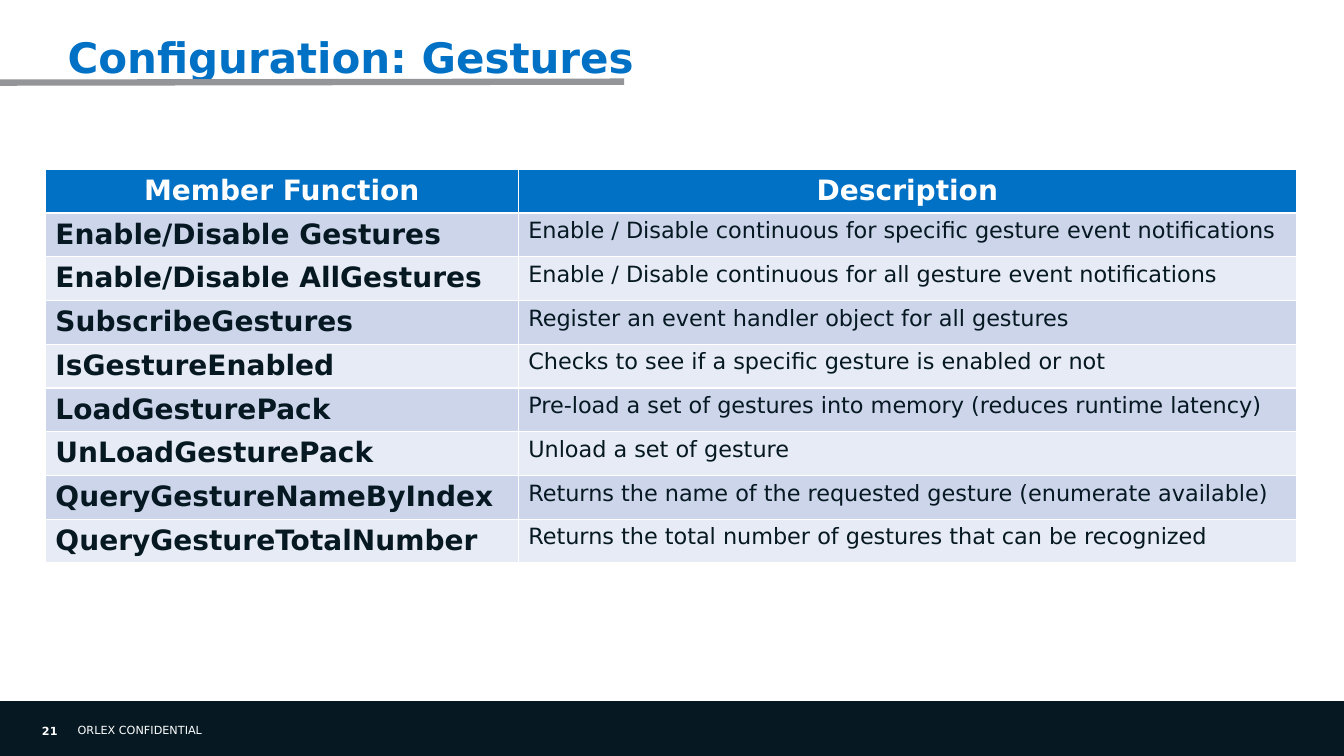
from pptx import Presentation
from pptx.dml.color import RGBColor
from pptx.enum.shapes import MSO_CONNECTOR, MSO_SHAPE
from pptx.enum.text import MSO_ANCHOR, MSO_AUTO_SIZE, PP_ALIGN
from pptx.oxml.ns import qn
from pptx.util import Pt
from lxml.etree import SubElement

FONT = "DejaVu Sans"
COLORS = {
    "blue": "0071C5",
    "navy": "061922",
    "white": "FFFFFF",
    "gray": "939598",
    "band_dark": "CCD5EA",
    "band_light": "E7EBF5",
}
HEADER = ("Member Function", "Description")
FUNCTIONS = [
    ("Enable/Disable Gestures", "Enable / Disable continuous for specific gesture event notifications"),
    ("Enable/Disable AllGestures", "Enable / Disable continuous for all gesture event notifications"),
    ("SubscribeGestures", "Register an event handler object for all gestures"),
    ("IsGestureEnabled", "Checks to see if a specific gesture is enabled or not"),
    ("LoadGesturePack", "Pre-load a set of gestures into memory (reduces runtime latency)"),
    ("UnLoadGesturePack", "Unload a set of gesture"),
    ("QueryGestureNameByIndex", "Returns the name of the requested gesture (enumerate available)"),
    ("QueryGestureTotalNumber", "Returns the total number of gestures that can be recognized"),
]


def px(n):
    return n * 9144


def rgb(name):
    return RGBColor.from_string(COLORS[name])


def paint(fill, color):
    fill.solid()
    fill.fore_color.rgb = rgb(color)


def write(tf, text, size, color, bold=False, align=PP_ALIGN.LEFT):
    p = tf.paragraphs[0]
    p.alignment = align
    r = p.add_run()
    r.text = text
    for key, value in {"name": FONT, "size": Pt(size), "bold": bold}.items():
        setattr(r.font, key, value)
    r.font.color.rgb = rgb(color)
    return p


def set_frame(tf, **values):
    for key, value in values.items():
        setattr(tf, key, value)


def no_margins():
    return {f"margin_{side}": 0 for side in ("left", "top", "right", "bottom")}


def add_title(s, text, box):
    sp = s.shapes.title
    sp.left, sp.top, sp.width, sp.height = map(px, box)
    set_frame(sp.text_frame, word_wrap=True, auto_size=MSO_AUTO_SIZE.NONE,
              vertical_anchor=MSO_ANCHOR.TOP, **no_margins())
    p = write(sp.text_frame, text, 30, "blue", True)
    p.line_spacing = Pt(26)


def add_bar(s, box, color):
    sp = s.shapes.add_shape(MSO_SHAPE.RECTANGLE, *map(px, box))
    sp.shadow.inherit = False
    paint(sp.fill, color)
    sp.line.color.rgb = rgb(color)
    sp.line.width = Pt(0.25)


def add_label(s, text, box, bold=False, align=PP_ALIGN.LEFT, **frame):
    tf = s.shapes.add_textbox(*map(px, box)).text_frame
    set_frame(tf, word_wrap=True, **frame)
    write(tf, text, 8, "white", bold, align)


def add_rule(s, ends, color, width):
    line = s.shapes.add_connector(MSO_CONNECTOR.STRAIGHT, *map(px, ends))
    line.line.color.rgb = rgb(color)
    line.line.width = Pt(width)
    SubElement(line._element.spPr, qn("a:effectLst"))


def add_function_table(s, left, top, widths, row_height):
    rows = [HEADER, *FUNCTIONS]
    frame = s.shapes.add_table(len(rows), len(widths), px(left), px(top),
                               px(sum(widths)), px(row_height * len(rows)))
    table = frame.table
    for column, width in zip(table.columns, widths):
        column.width = px(width)
    for i, row in enumerate(rows):
        for j, text in enumerate(row):
            cell = table.cell(i, j)
            if i == 0:
                paint(cell.fill, "blue")
                write(cell.text_frame, text, 20, "white", True, PP_ALIGN.CENTER)
            else:
                paint(cell.fill, "band_dark" if i % 2 else "band_light")
                write(cell.text_frame, text, 16 if j else 20, "navy", j == 0)


def main():
    prs = Presentation()
    prs.slide_width, prs.slide_height = px(1333), px(750)
    s = prs.slides.add_slide(prs.slide_layouts[5])
    add_bar(s, (0, 696, 1333, 54), "navy")
    add_label(s, "ORLEX CONFIDENTIAL", (77, 718, 422, 13), **no_margins())
    add_title(s, "Configuration: Gestures", (67, 45, 1200, 97))
    add_label(s, "21", (0, 713, 67, 24), True, PP_ALIGN.RIGHT,
              vertical_anchor=MSO_ANCHOR.MIDDLE)
    add_rule(s, (-1, 82, 619, 81), "gray", 4.5)
    add_function_table(s, 45, 168, (469, 772), 42)
    prs.save("out.pptx")


if __name__ == "__main__":
    main()
